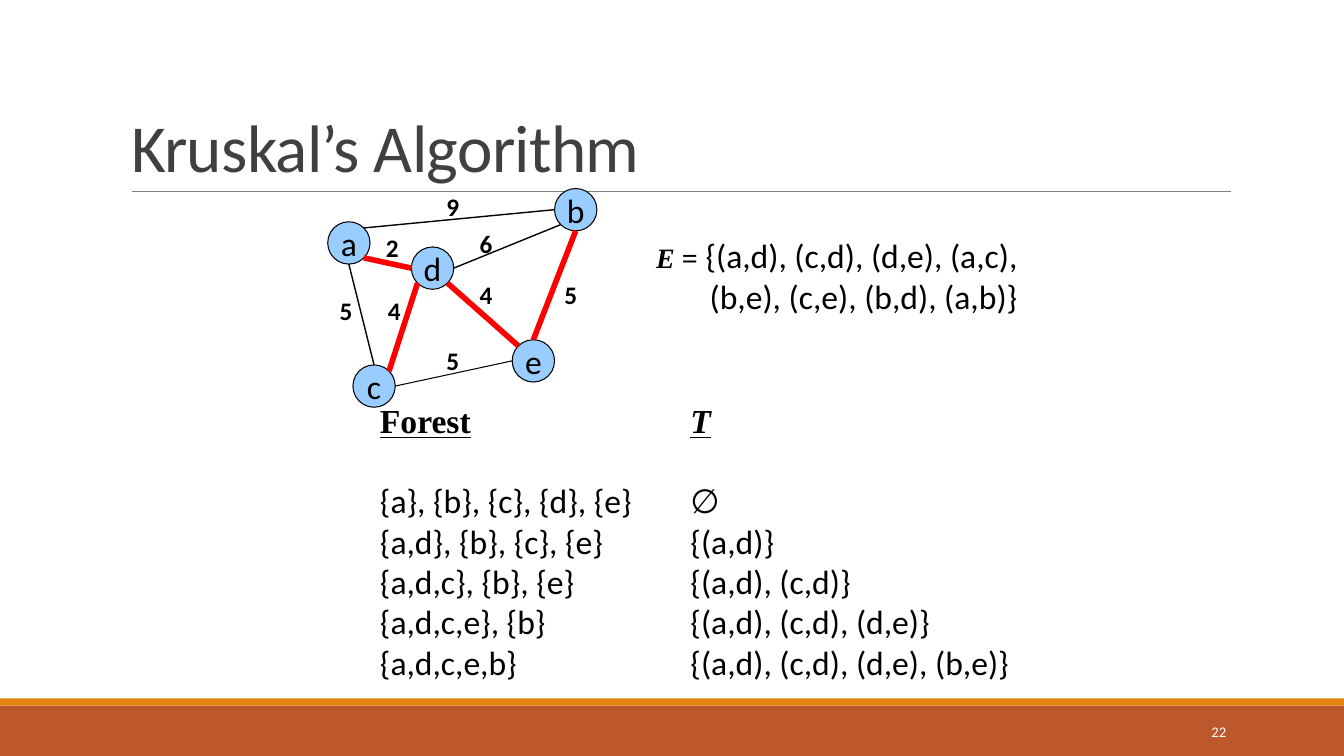
from dataclasses import dataclass
from math import cos, radians, sin

from lxml import etree
from pptx import Presentation
from pptx import util as u
from pptx.dml import color as col
from pptx.enum import shapes, text
from pptx.oxml import ns


@dataclass(frozen=True)
class Theme:
    """Colours, fonts and type sizes of the slide."""
    ink: str = "000000"
    head: str = "404040"
    rule: str = "808080"
    band: str = "BD582C"
    trim: str = "E48312"
    node: str = "99CCFF"
    tree: str = "FF0000"
    pale: str = "FFFFFF"
    sans: str = "Calibri"
    serif: str = "Times New Roman"
    title: float = 48
    body: float = 24
    term: float = 20
    cost: float = 18
    page: float = 10.5


T = Theme()
SIZE = 0.42
NODES = {"a": (0, 0.33), "c": (0.25, 1.75), "e": (1.83, 1.5),
         "d": (0.83, 0.58), "b": (2.25, 0)}
EDGES = [("a", 45, "b", 180, T.ink, 1), ("d", 0, "b", 225, T.ink, 1),
         ("a", 270, "c", 90, T.ink, 1), ("a", 315, "d", 180, T.tree, 4),
         ("c", 45, "d", 225, T.tree, 4), ("d", 315, "e", 135, T.tree, 4),
         ("b", 270, "e", 90, T.tree, 4), ("e", 180, "c", 0, T.ink, 0.75)]
COSTS = [("2", 0.48, 0.39), ("4", 0.5, 1.01), ("5", 0.02, 1.01),
         ("9", 1.08, -0.02), ("6", 1.41, 0.35), ("4", 1.41, 0.85),
         ("5", 1.08, 1.51), ("5", 2.25, 0.85)]
FOREST = ["{a}, {b}, {c}, {d}, {e}", "{a,d}, {b}, {c}, {e}",
          "{a,d,c}, {b}, {e}", "{a,d,c,e}, {b}", "{a,d,c,e,b}"]
TREE = ["∅", "{(a,d)}", "{(a,d), (c,d)}", "{(a,d), (c,d), (d,e)}",
        "{(a,d), (c,d), (d,e), (b,e)}"]


def inch(*vals):
    """Turn numbers into lengths."""
    return [u.Inches(val) for val in vals]


def apply(item, form):
    """Set each attribute named in a dict of format values."""
    for name, val in form.items():
        setattr(item, name, val)


def write(para, words, size=T.body, face=T.sans, ink=T.ink, **form):
    """Add a formatted run to a paragraph."""
    run = para.add_run()
    run.text = words
    apply(run.font, dict(size=u.Pt(size), name=face, **form))
    run.font.color.rgb = col.RGBColor.from_string(ink)
    return run


def block(slide, box, **form):
    """Add a text box and return its frame."""
    frame = slide.shapes.add_textbox(*inch(*box)).text_frame
    apply(frame, dict(word_wrap=False, **form))
    return frame


def solid(slide, kind, box, fill, edge=None):
    """Add a filled preset shape."""
    shape = slide.shapes.add_shape(kind, *inch(*box))
    shape.shadow.inherit = False
    shape.fill.solid()
    shape.fill.fore_color.rgb = col.RGBColor.from_string(fill)
    if edge:
        shape.line.color.rgb = col.RGBColor.from_string(edge)
        shape.line.width = u.Pt(0.75)
    else:
        shape.line.fill.background()
    return shape


def stroke(slide, start, end, ink, width):
    """Draw a straight line between two points."""
    line = slide.shapes.add_connector(
        shapes.MSO_CONNECTOR.STRAIGHT, *inch(*start, *end))
    line.line.color.rgb = col.RGBColor.from_string(ink)
    line.line.width = u.Pt(width)
    etree.SubElement(line.element.spPr, ns.qn("a:effectLst"))


def footer(slide, box):
    """Place the two bottom bands and the page number."""
    left, top, width, height = box
    rect = shapes.MSO_SHAPE.RECTANGLE
    solid(slide, rect, (left, top + 0.07, width, height - 0.07), T.band)
    solid(slide, rect, (left, top, width, 0.07), T.trim)
    frame = block(slide, (left + width - 2.5, top + 0.13, 1.43, 0.4),
                  vertical_anchor=text.MSO_ANCHOR.MIDDLE)
    frame.word_wrap = True
    para = frame.paragraphs[0]
    para.alignment = text.PP_ALIGN.RIGHT
    write(para, "22", T.page, ink=T.pale)


def header(slide, box):
    """Place the title and the rule below it."""
    left, top, width, height = box
    title = slide.shapes.title
    apply(title, dict(zip(("left", "top", "width", "height"), inch(*box))))
    apply(title.text_frame, dict(vertical_anchor=text.MSO_ANCHOR.BOTTOM,
                                 auto_size=text.MSO_AUTO_SIZE.NONE,
                                 word_wrap=True))
    para = title.text_frame.paragraphs[0]
    apply(para, dict(alignment=text.PP_ALIGN.LEFT, line_spacing=0.85))
    run = write(para, "Kruskal’s Algorithm", T.title, ink=T.head)
    run.font._element.set("spc", "-50")
    base = top + height
    stroke(slide, (left + 0.11, base), (left + width + 0.01, base),
           T.rule, 0.5)


def formula(slide, box):
    """Place the sorted edge set."""
    frame = block(slide, box, vertical_anchor=text.MSO_ANCHOR.MIDDLE)
    first, second = frame.paragraphs[0], frame.add_paragraph()
    write(first, "E ", T.term, T.serif, bold=True, italic=True)
    write(first, "=", T.term, T.serif, bold=True)
    write(first, " {(a,d), (c,d), (d,e), (a,c),")
    props = second._p.get_or_add_pPr()
    props.set("marL", str(u.Inches(0.53)))
    props.set("indent", "0")
    write(second, "(b,e), (c,e), (b,d), (a,b)}")


def steps(slide, box, head, rows, slant=False):
    """Place one column of steps under its heading."""
    frame = block(slide, box)
    write(frame.paragraphs[0], head, face=T.serif, bold=True,
          italic=slant, underline=True)
    for num, row in enumerate(rows):
        para = frame.add_paragraph()
        if num == 0:
            para.space_before = u.Pt(28.5)
        write(para, row)


def graph(slide, box):
    """Place the weighted graph with its tree edges marked."""
    left, top = box[:2]

    def site(name, angle):
        """Find the point on a node's rim at an angle."""
        x, y = NODES[name]
        half, turn = SIZE / 2, radians(angle)
        return (left + x + half + half * cos(turn),
                top + y + half - half * sin(turn))

    for name, (x, y) in NODES.items():
        disc = solid(slide, shapes.MSO_SHAPE.OVAL,
                     (left + x, top + y, SIZE, SIZE), T.node, T.ink)
        apply(disc.text_frame, dict(
            word_wrap=False, vertical_anchor=text.MSO_ANCHOR.MIDDLE,
            margin_left=0, margin_right=0, margin_top=0, margin_bottom=0))
        para = disc.text_frame.paragraphs[0]
        para.alignment = text.PP_ALIGN.CENTER
        write(para, name)
    for one, out, two, into, ink, width in EDGES:
        stroke(slide, site(one, out), site(two, into), ink, width)
    for cost, x, y in COSTS:
        frame = block(slide, (left + x, top + y, 0.34, 0.4))
        write(frame.paragraphs[0], cost, T.cost, bold=True)


def main():
    """Build the slide and save it."""
    deck = Presentation()
    deck.slide_width, deck.slide_height = inch(13.33, 7.5)
    slide = deck.slides.add_slide(deck.slide_layouts.get_by_name("Title Only"))
    footer(slide, (0, 6.93, 13.33, 0.57))
    header(slide, (1.2, 0.31, 11, 1.59))
    formula(slide, (6.41, 2.28, 3.89, 0.91))
    steps(slide, (3.67, 3.92, 2.72, 2.93), "Forest", FOREST)
    steps(slide, (6.75, 3.92, 3.39, 2.93), "T", TREE, True)
    graph(slide, (3.25, 1.87, 2.67, 2.17))
    deck.save("out.pptx")


if __name__ == "__main__":
    main()
